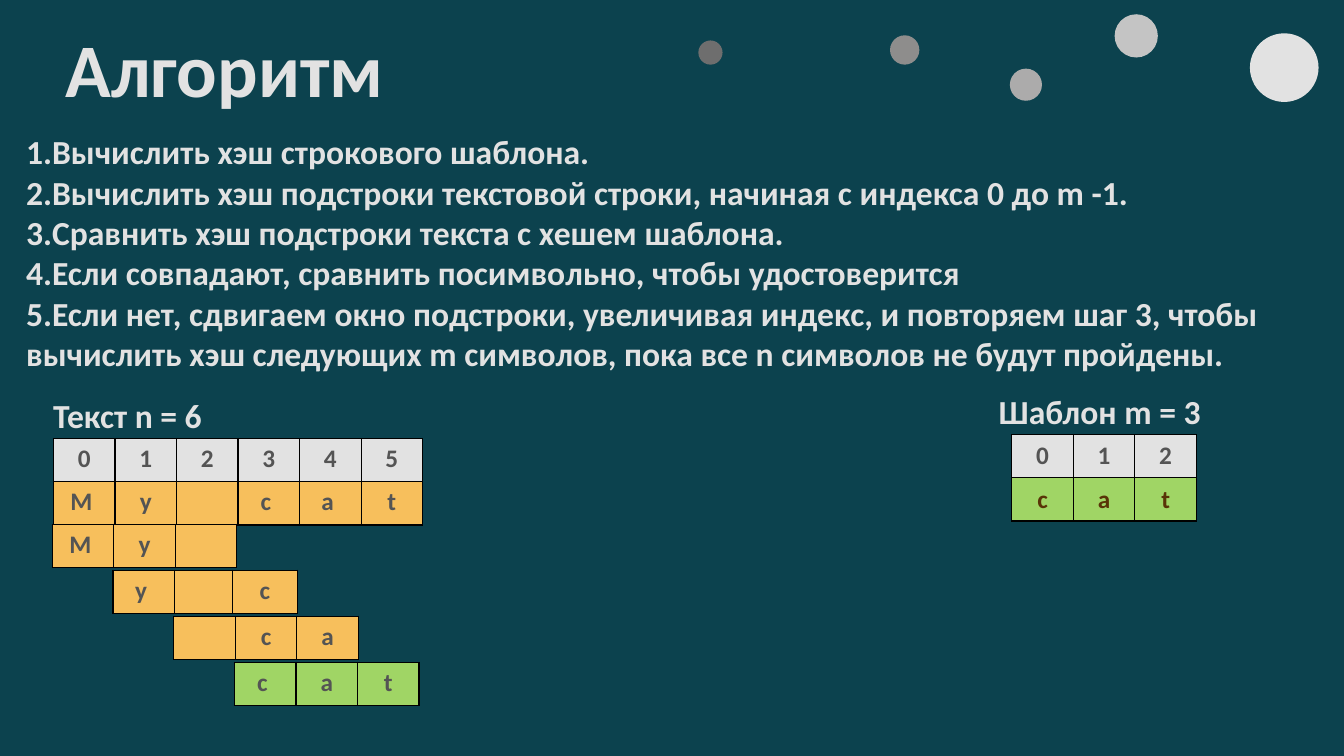
from dataclasses import dataclass
from pptx import Presentation
from pptx.dml.color import RGBColor as Rgb
from pptx.enum.shapes import MSO_SHAPE as Shape
from pptx.enum.text import MSO_ANCHOR as Anchor, PP_ALIGN as Align
from pptx.oxml import parse_xml
from pptx.oxml.ns import nsdecls
from pptx.util import Cm, Pt


@dataclass(frozen=True)
class Theme:
    font: str = "Calibri"
    background: str = "0C424E"
    light: str = "E2E2E2"
    letter: str = "545454"
    pattern: str = "593407"
    window: str = "F7BF5C"
    match: str = "A0D565"
    border: str = "000000"
    dots: tuple = ("6E6E6E", "8E8D8C", "ACABAB", "C4C4C4")
    title_size: int = 54
    body_size: int = 24
    cell_size: int = 18
    column: float = 1.55
    row: float = 1.09


class SlideBuilder:
    def __init__(self, page, theme):
        self.page = page
        self.theme = theme
        self.paint(page.background.fill, theme.background)

    def paint(self, fill, color):
        fill.solid()
        fill.fore_color.rgb = Rgb.from_string(color)

    def add_span(self, para, text, size, color):
        span = para.add_run()
        span.text = text
        formats = {"name": self.theme.font, "size": Pt(size), "bold": True}
        for name, value in formats.items():
            setattr(span.font, name, value)
        span.font.color.rgb = Rgb.from_string(color)

    def text(self, place, lines, size, numbered=False):
        box = self.page.shapes.add_textbox(*map(Cm, place))
        frame = box.text_frame
        frame.word_wrap = True
        for index, line in enumerate(lines):
            para = frame.add_paragraph() if index else frame.paragraphs[0]
            self.add_span(para, line, size, self.theme.light)
            if numbered:
                properties = para._p.get_or_add_pPr()
                for name in ("marL", "indent"):
                    properties.set(name, "0")
                properties.append(parse_xml(
                    f'<a:buAutoNum {nsdecls("a")} type="arabicPeriod"/>'))

    def circle(self, left, top, diameter, color):
        dot = self.page.shapes.add_shape(
            Shape.OVAL, Cm(left), Cm(top), Cm(diameter), Cm(diameter))
        dot.shadow.inherit = False
        self.paint(dot.fill, color)
        dot.line.fill.background()

    def outline(self, cell):
        properties = cell._tc.get_or_add_tcPr()
        for index, side in enumerate("LRTB"):
            properties.insert(index, parse_xml(
                f'<a:ln{side} {nsdecls("a")} w="12700"><a:solidFill>'
                f'<a:srgbClr val="{self.theme.border}"/></a:solidFill></a:ln{side}>'))

    def table(self, left, top, rows, widths=None, anchor=Anchor.TOP):
        widths = widths or [self.theme.column] * len(rows[0][0])
        grid = self.page.shapes.add_table(
            len(rows), len(widths), Cm(left), Cm(top),
            Cm(sum(widths)), Cm(self.theme.row * len(rows))).table
        grid.first_row = grid.horz_banding = False
        for column, width in zip(grid.columns, widths):
            column.width = Cm(width)
        for index, (letters, fill, color) in enumerate(rows):
            grid.rows[index].height = Cm(self.theme.row)
            for position, letter in enumerate(letters):
                cell = grid.cell(index, position)
                cell.vertical_anchor = anchor
                self.outline(cell)
                self.paint(cell.fill, fill)
                para = cell.text_frame.paragraphs[0]
                para.alignment = Align.CENTER
                if letter:
                    self.add_span(para, letter, self.theme.cell_size, color)


def main():
    deck = Presentation()
    deck.slide_width, deck.slide_height = Cm(33.87), Cm(19.05)
    theme = Theme()
    builder = SlideBuilder(deck.slides.add_slide(deck.slide_layouts[6]), theme)

    builder.text((1.4, 0.43, 26.62, 2.57), ["Алгоритм"], theme.title_size)
    steps = [
        "Вычислить хэш строкового шаблона.",
        "Вычислить хэш подстроки текстовой строки, начиная с индекса 0 до m -1.",
        "Сравнить хэш подстроки текста с хешем шаблона.",
        "Если совпадают, сравнить посимвольно, чтобы удостоверится",
        "Если нет, сдвигаем окно подстроки, увеличивая индекс, и повторяем шаг 3, "
        "чтобы вычислить хэш следующих m символов, пока все n символов не будут "
        "пройдены.",
    ]
    builder.text((0.41, 3.18, 33.46, 6.4), steps, theme.body_size, numbered=True)

    circles = [
        (17.6, 1.02, 0.61),
        (22.43, 0.89, 0.74),
        (25.45, 1.73, 0.81),
        (28.09, 0.36, 1.09),
        (31.5, 0.84, 1.73),
    ]
    for place, color in zip(circles, (*theme.dots, theme.light)):
        builder.circle(*place, color)

    builder.text((1.09, 9.83, 4.62, 1.27), ["Текст n = 6"], theme.body_size)
    builder.text((24.92, 9.73, 5.77, 1.27), ["Шаблон m = 3"], theme.body_size)

    builder.table(25.5, 10.95, [
        ("012", theme.light, theme.letter),
        ("cat", theme.match, theme.pattern),
    ], anchor=Anchor.MIDDLE)
    builder.table(1.35, 11.05, [
        ("012345", theme.light, theme.letter),
        (["M ", "y", "", "c ", "a ", "t"], theme.window, theme.letter),
    ])

    windows = [
        (["M ", "y", ""], theme.window, None),
        (["y ", "", "c"], theme.window, [1.55, 1.45, 1.65]),
        (["", "c", "a"], theme.window, None),
        (["c ", "a", "t"], theme.match, None),
    ]
    for shift, (letters, fill, widths) in enumerate(windows):
        builder.table(1.32 + 1.53 * shift, 13.21 + 1.16 * shift,
                      [(letters, fill, theme.letter)], widths)

    deck.save("out.pptx")


if __name__ == "__main__":
    main()
